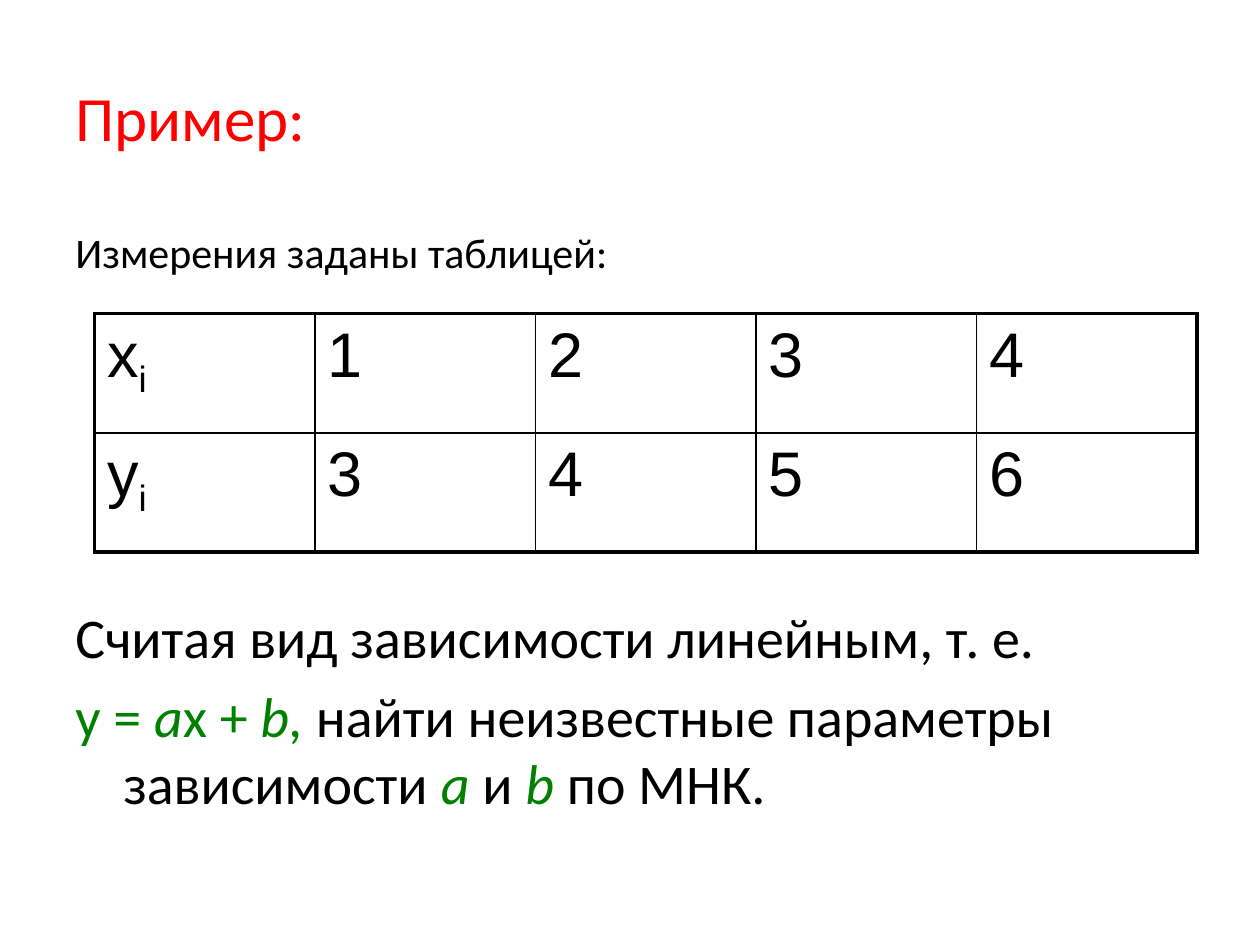
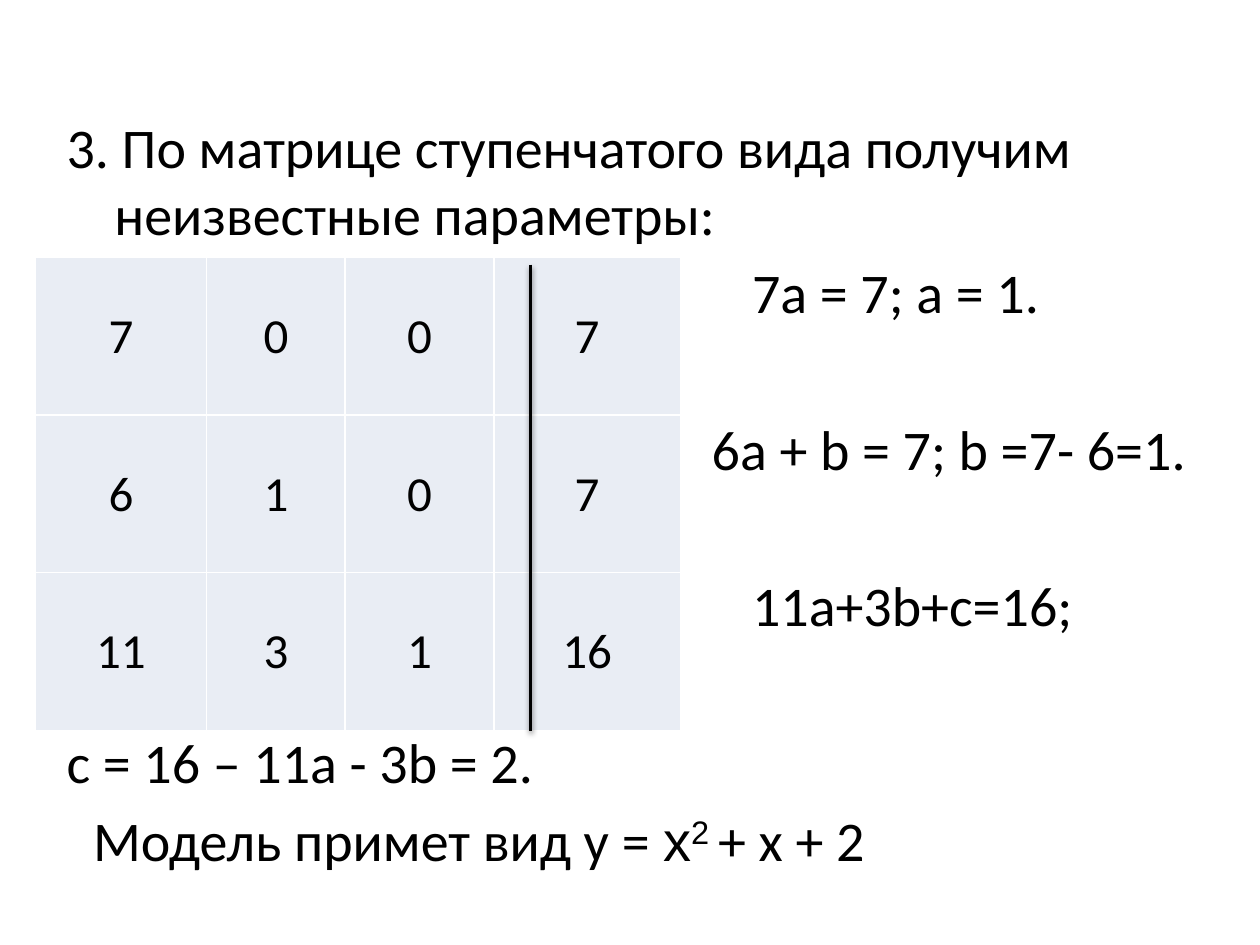
"""Build two slides on least squares: measurements to fit, and parameters from a matrix."""
from lxml import etree
from pptx import Presentation
from pptx.dml.color import RGBColor
from pptx.enum.shapes import MSO_CONNECTOR
from pptx.enum.text import MSO_ANCHOR, PP_ALIGN
from pptx.oxml import parse_xml
from pptx.oxml.ns import qn
from pptx.util import Inches, Pt

LEFT, CENTER = PP_ALIGN.LEFT, PP_ALIGN.CENTER
TOP, MIDDLE = MSO_ANCHOR.TOP, MSO_ANCHOR.MIDDLE
STRAIGHT = MSO_CONNECTOR.STRAIGHT
rgb = RGBColor.from_string
BLACK, RED, GREEN, WHITE, PALE = "000000", "FF0000", "008000", "FFFFFF", "E9EDF4"
HANG = 0.38
GAP = 6.4
BLANK_LINE = 51

prs = Presentation()
prs.slide_width, prs.slide_height = Inches(10), Inches(7.5)
COL, ROW = prs.slide_width // 100, prs.slide_height / 100


def write(p, runs, size, font="Calibri", color=BLACK):
    for text, look in runs:
        r = p.add_run()
        r.text = text
        r.font.size = Pt(size)
        r.font.name = look.get("font", font)
        r.font.color.rgb = rgb(look.get("color", color))
        r.font.italic = look.get("italic", False)
        if "base" in look:
            r._r.get_or_add_rPr().set("baseline", str(look["base"] * 1000))


def add_grid(s, data, left, top, widths, height, inner, outer, line, fill, **text):
    rows, cols = len(data), len(widths)
    table = s.shapes.add_table(rows, cols, int(left * COL), int(top * ROW),
                               int(sum(widths) * COL), int(height * rows * ROW)).table
    table.first_row = table.horz_banding = False
    for c, width in enumerate(widths):
        table.columns[c].width = int(width * COL)
    for r, values in enumerate(data):
        table.rows[r].height = int(height * ROW)
        for c, runs in enumerate(values):
            cell = table.cell(r, c)
            tcPr = cell._tc.get_or_add_tcPr()
            edges = {"L": c == 0, "R": c == cols - 1, "T": r == 0, "B": r == rows - 1}
            for side, outside in edges.items():
                ln = etree.SubElement(tcPr, qn(f"a:ln{side}"), w=str(Pt(outer if outside else inner)))
                etree.SubElement(etree.SubElement(ln, qn("a:solidFill")), qn("a:srgbClr"), val=line)
            if fill:
                cell.fill.solid()
                cell.fill.fore_color.rgb = rgb(fill)
            else:
                cell.fill.background()
            write(cell.text_frame.paragraphs[0], runs, **text)
    return table


example = prs.slides.add_slide(prs.slide_layouts[5])
matrix = prs.slides.add_slide(prs.slide_layouts[6])

title = example.shapes.title
title.left, title.top = 5 * COL, int(4 * ROW)
title.width, title.height = 90 * COL, int(16.67 * ROW)
title.text_frame.vertical_anchor = MIDDLE
title.text_frame.paragraphs[0].alignment = LEFT
write(title.text_frame.paragraphs[0], [("Пример:", {})], 36, color=RED)

green, var = {"color": GREEN}, {"color": GREEN, "italic": True}
example_text = [
    (HANG, -HANG, 0, 24, [("Измерения заданы таблицей:", {})]),
    (HANG, -HANG, 186, 32, [("Считая вид зависимости линейным, т. е.", {})]),
    (HANG, -HANG, GAP, 32, [
        ("y = ", green), ("a", var), ("x + ", green), ("b, ", var),
        ("найти неизвестные параметры зависимости ", {}), ("a ", var),
        ("и ", {}), ("b ", var), ("по МНК.", {})]),
]
matrix_text = [
    (HANG, -HANG, 0, 32, [("3. По матрице ступенчатого вида получим неизвестные параметры:", {})]),
    (5.44, 0, GAP, 32, [("7а = 7; а = 1.", {})]),
    (5.12, 0, BLANK_LINE, 32, [("6a + b = 7; b =7- 6=1.", {})]),
    (5.44, 0, BLANK_LINE, 32, [("11a+3b+c=16;", {})]),
    (HANG, -HANG, BLANK_LINE, 32, [("c = 16 – 11a - 3b = 2.", {})]),
    (0.21, 0, GAP, 32, [
        ("Модель примет вид y = ", {}), ("x", {"font": "Arial"}),
        ("2 ", {"font": "Arial", "base": 30}), ("+ x + 2", {})]),
]
for s, left, top, height, paragraphs in [(example, 5, 23.33, 66, example_text),
                                         (matrix, 4.3, 11.2, 86.13, matrix_text)]:
    sp = s.shapes.add_textbox(int(left * COL), int(top * ROW), int(91.5 * COL), int(height * ROW))
    tf = sp.text_frame
    tf.word_wrap = True
    tf.vertical_anchor = TOP
    for i, (margin, indent, before, size, runs) in enumerate(paragraphs):
        p = tf.add_paragraph() if i else tf.paragraphs[0]
        p.space_before = Pt(before)
        pPr = p._p.get_or_add_pPr()
        pPr.set("marL", str(Inches(margin)))
        pPr.set("indent", str(Inches(indent)))
        write(p, runs, size)

index = ("i", {"base": -25})
measurements = [[[(name, {}), index]] + [[(str(v), {})] for v in values]
                for name, values in [("х", (1, 2, 3, 4)), ("y", (3, 4, 5, 6))]]
add_grid(example, measurements, 7.5, 33.2, [17.5] * 5, 12.6, 1, 2.25, BLACK, None,
         size=36, font="Arial")

coefficients = [[[(str(v), {})] for v in row]
                for row in [(7, 0, 0, 7), (6, 1, 0, 7), (11, 3, 1, 16)]]
table = add_grid(matrix, coefficients, 2.8, 27.2, [13.6, 11, 11.8, 14.8], 16.7, 1, 1,
                 WHITE, PALE, size=28)
for cell in table.iter_cells():
    cell.vertical_anchor = MIDDLE
    cell.margin_left = cell.margin_right = cell.margin_top = Inches(0.01)
    cell.margin_bottom = 0
    cell.text_frame.paragraphs[0].alignment = CENTER

divider = matrix.shapes.add_connector(STRAIGHT, int(42.1 * COL), int(28 * ROW),
                                      int(42.1 * COL), int(77.33 * ROW))
divider.line.color.rgb = rgb(BLACK)
divider.line.width = Pt(2)
divider._element.spPr.append(parse_xml(
    '<a:effectLst xmlns:a="http://schemas.openxmlformats.org/drawingml/2006/main">'
    f'<a:outerShdw blurRad="{Pt(3.1)}" dist="{Pt(1.6)}" dir="5400000" rotWithShape="0">'
    f'<a:srgbClr val="{BLACK}"><a:alpha val="38000"/></a:srgbClr></a:outerShdw></a:effectLst>'))

prs.save("out.pptx")
